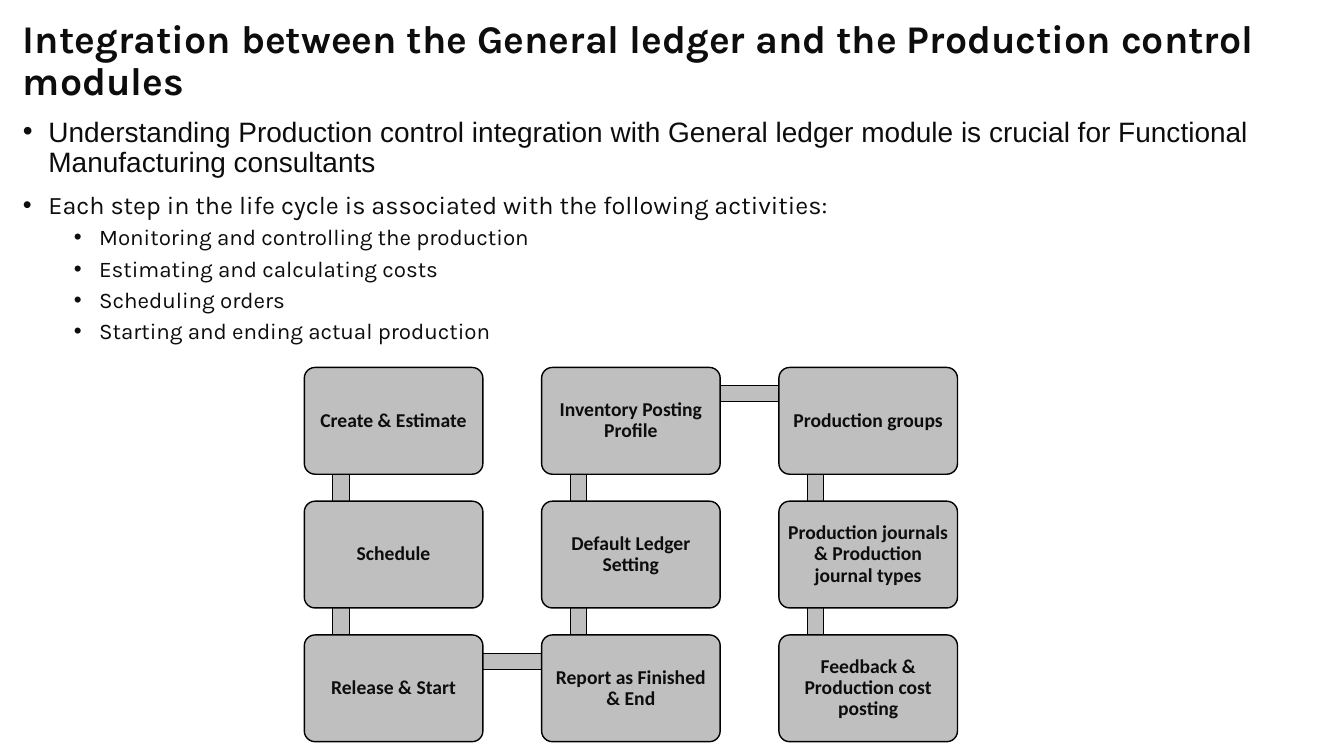
from dataclasses import dataclass

from lxml.etree import SubElement
from pptx import Presentation
from pptx.dml.color import RGBColor
from pptx.enum.shapes import MSO_SHAPE
from pptx.enum.text import MSO_ANCHOR, PP_ALIGN
from pptx.oxml.ns import qn
from pptx.shapes.autoshape import Shape
from pptx.slide import Slide
from pptx.text.text import TextFrame, _Paragraph
from pptx.util import Cm, Pt


@dataclass(frozen=True)
class Theme:
    ink: RGBColor = RGBColor(0x0D, 0x0D, 0x0D)
    fill: RGBColor = RGBColor(0xBF, 0xBF, 0xBF)
    outline: RGBColor = RGBColor(0, 0, 0)
    heading_font: str = "Karla"
    lead_font: str = "Arial"
    step_font: str = "Calibri"
    title_size: int = 28
    lead_size: int = 20
    point_size: int = 18
    detail_size: int = 16
    step_size: int = 14
    line_spacing: float = 0.9


THEME = Theme()


@dataclass(frozen=True)
class Line:
    text: str
    size: int
    font: str = THEME.heading_font
    bold: bool = False
    level: int = 0
    indent: float = 0  # left margin in cm; zero means no bullet
    space_before: int = 10


@dataclass(frozen=True)
class Step:
    text: str
    column: int
    row: int

    @property
    def left(self) -> float:
        return GRID_LEFT + self.column * COLUMN_STEP

    @property
    def top(self) -> float:
        return GRID_TOP + self.row * ROW_STEP


# Step grid, in cm
GRID_LEFT, GRID_TOP = 7.67, 9.26
COLUMN_STEP, ROW_STEP = 5.98, 3.37
BOX_WIDTH, BOX_HEIGHT = 4.5, 2.69
BAR_THICKNESS = 0.41
HANGING = 0.64

DETAILS = [
    "Monitoring and controlling the production",
    "Estimating and calculating costs",
    "Scheduling orders",
    "Starting and ending actual production",
]
LINES = [
    Line("Integration between the General ledger and the Production control modules",
         THEME.title_size, bold=True, space_before=0),
    Line("Understanding Production control integration with General ledger module "
         "is crucial for Functional Manufacturing consultants",
         THEME.lead_size, THEME.lead_font, indent=HANGING),
    Line("Each step in the life cycle is associated with the following activities:",
         THEME.point_size, indent=HANGING),
    *(Line(text, THEME.detail_size, level=1, indent=3 * HANGING, space_before=5)
      for text in DETAILS),
]

# The path runs down, up, then down again
STEPS = [
    Step("Create & Estimate", 0, 0),
    Step("Schedule", 0, 1),
    Step("Release & Start", 0, 2),
    Step("Report as Finished & End", 1, 2),
    Step("Default Ledger Setting", 1, 1),
    Step("Inventory Posting Profile", 1, 0),
    Step("Production groups", 2, 0),
    Step("Production journals & Production journal types", 2, 1),
    Step("Feedback & Production cost posting", 2, 2),
]


def add_text(paragraph: _Paragraph, text: str, size: int, font: str, bold: bool) -> None:
    paragraph.line_spacing = THEME.line_spacing
    run = paragraph.add_run()
    run.text = text
    run.font.size = Pt(size)
    run.font.name = font
    run.font.bold = bold
    run.font.color.rgb = THEME.ink


def add_bullet(paragraph: _Paragraph, indent: float) -> None:
    properties = paragraph._p.get_or_add_pPr()
    properties.set("marL", str(Cm(indent)))
    properties.set("indent", str(-Cm(HANGING)))
    SubElement(properties, qn("a:buFont")).set("typeface", "Arial")
    SubElement(properties, qn("a:buChar")).set("char", "•")


def write_lines(frame: TextFrame, lines: list[Line]) -> None:
    frame.word_wrap = True
    for index, line in enumerate(lines):
        paragraph = frame.add_paragraph() if index else frame.paragraphs[0]
        paragraph.level = line.level
        if line.indent:
            add_bullet(paragraph, line.indent)
        paragraph.space_before = Pt(line.space_before)
        add_text(paragraph, line.text, line.size, line.font, line.bold)


def add_block(slide: Slide, kind: MSO_SHAPE, left: float, top: float,
              width: float, height: float, line_width: float) -> Shape:
    shape = slide.shapes.add_shape(kind, Cm(left), Cm(top), Cm(width), Cm(height))
    shape.shadow.inherit = False
    shape.fill.solid()
    shape.fill.fore_color.rgb = THEME.fill
    shape.line.color.rgb = THEME.outline
    shape.line.width = Pt(line_width)
    return shape


def add_bar(slide: Slide, start: Step, end: Step) -> None:
    if start.column == end.column:
        top = min(start.top, end.top) + 0.66
        add_block(slide, MSO_SHAPE.RECTANGLE, start.left + 0.72, top,
                  BAR_THICKNESS, 3.35, 0.75)
    else:
        add_block(slide, MSO_SHAPE.RECTANGLE, start.left + 0.93, start.top + 0.46,
                  5.94, BAR_THICKNESS, 0.75)


def add_step(slide: Slide, step: Step) -> None:
    box = add_block(slide, MSO_SHAPE.ROUNDED_RECTANGLE, step.left, step.top,
                    BOX_WIDTH, BOX_HEIGHT, 1)
    box.adjustments[0] = 0.1
    frame = box.text_frame
    frame.word_wrap = True
    frame.vertical_anchor = MSO_ANCHOR.MIDDLE
    frame.margin_left = frame.margin_right = Cm(0.12)
    frame.margin_top = frame.margin_bottom = Cm(0.15)
    paragraph = frame.paragraphs[0]
    paragraph.alignment = PP_ALIGN.CENTER
    add_text(paragraph, step.text, THEME.step_size, THEME.step_font, True)


def main() -> None:
    presentation = Presentation()
    presentation.slide_width = Cm(33.87)
    presentation.slide_height = Cm(19.05)
    slide = presentation.slides.add_slide(presentation.slide_layouts[6])

    # Title and bullets
    text_box = slide.shapes.add_textbox(Cm(0.33), Cm(0.36), Cm(33.1), Cm(8.48))
    write_lines(text_box.text_frame, LINES)

    # Process path: bars lie behind the boxes they join
    for start, end in zip(STEPS, STEPS[1:]):
        add_bar(slide, start, end)
    for step in STEPS:
        add_step(slide, step)

    presentation.save("out.pptx")


if __name__ == "__main__":
    main()
